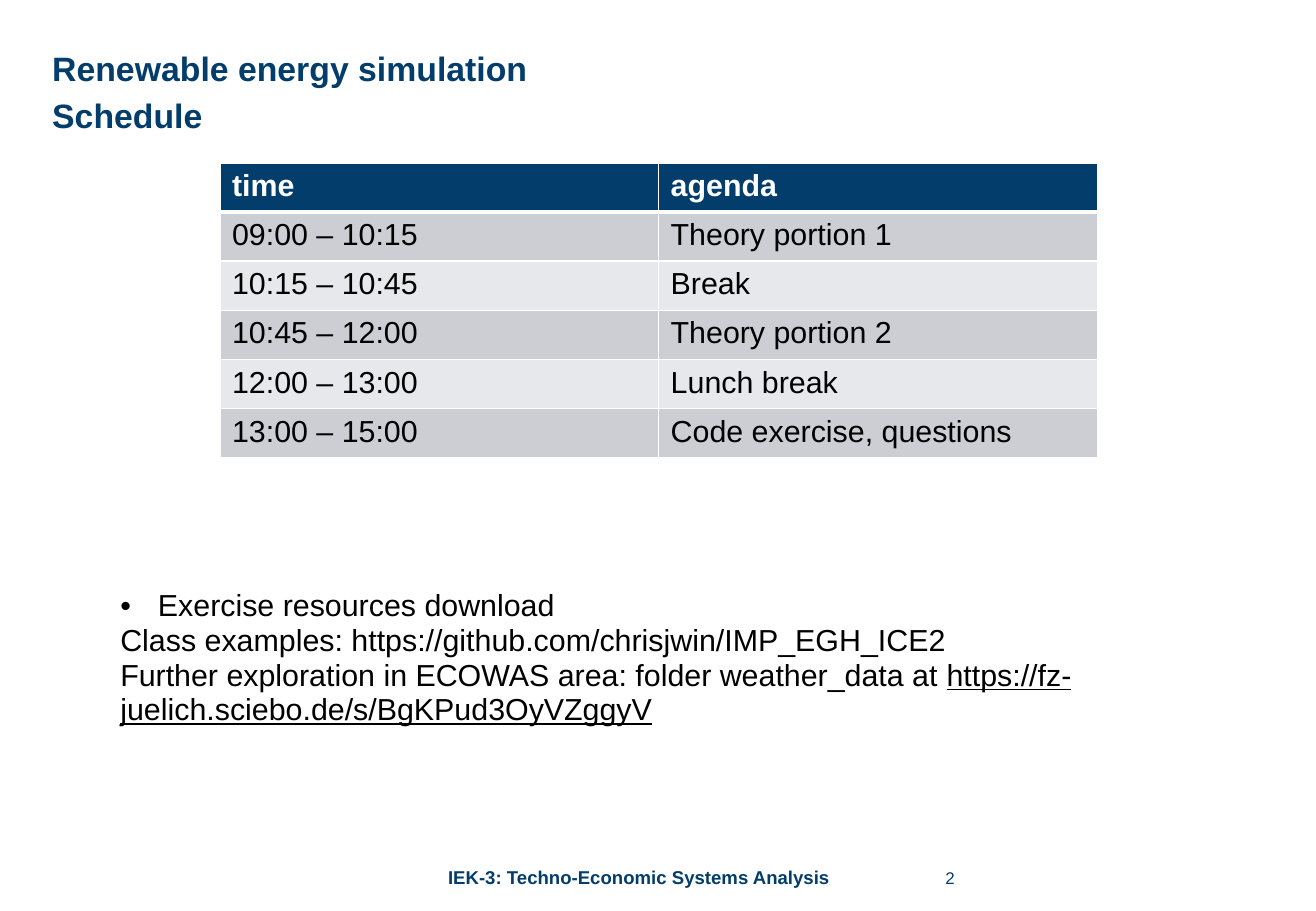
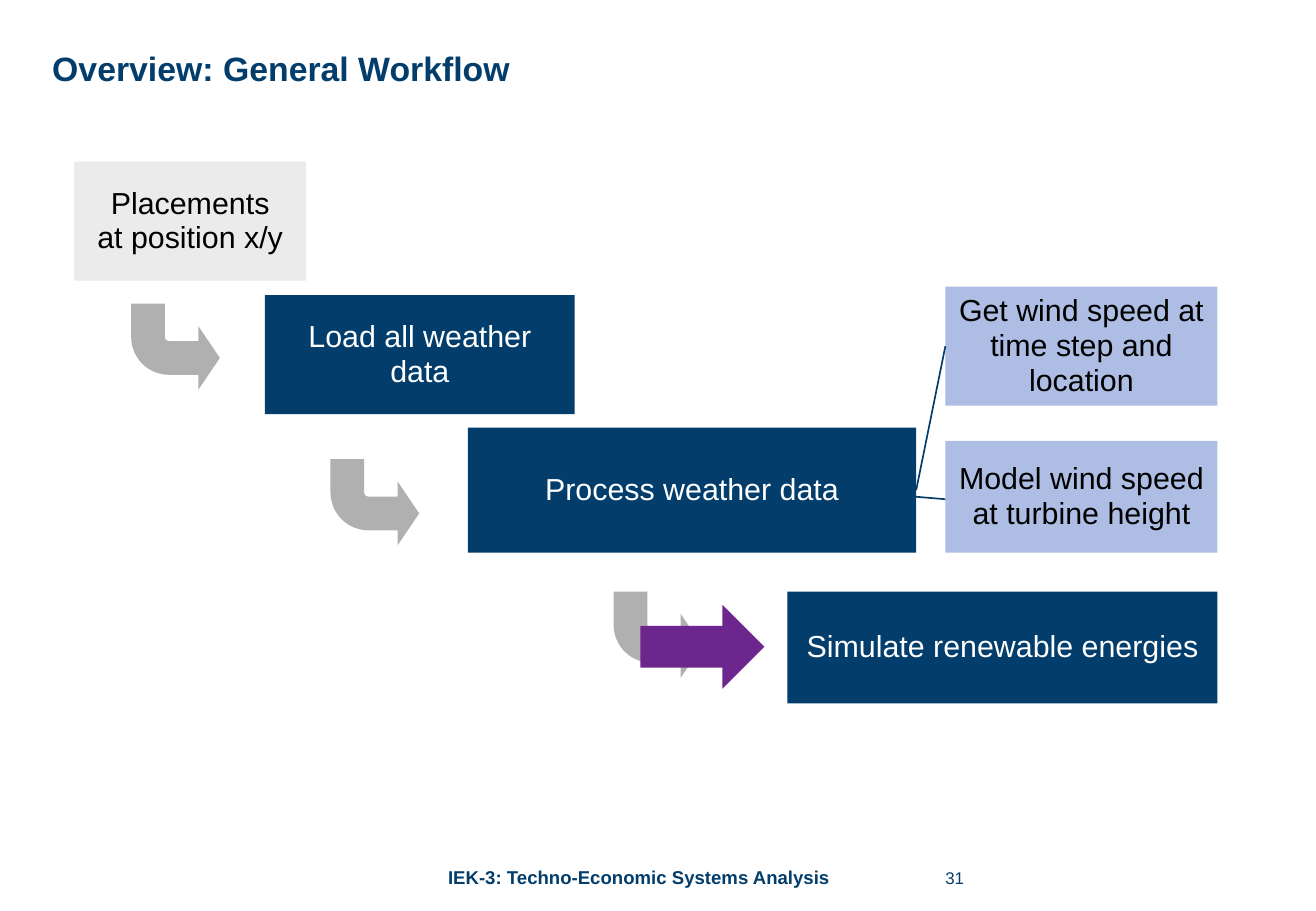
from lxml import etree
from pptx import Presentation
from pptx.dml.color import RGBColor
from pptx.enum import shapes, text
from pptx.oxml.ns import qn
from pptx.util import Inches, Pt

FONT = "Arial"
HEX = {"navy": "023D6B", "white": "FFFFFF", "black": "000000",
       "dark": "CCCED4", "light": "E7E8EB", "pale": "EBEBEB",
       "sky": "ADBDE3", "gray": "B0B0B0", "plum": "6D268E"}

FOOTER = "IEK-3: Techno-Economic Systems Analysis"
AGENDA = [
    ("time", "agenda"),
    ("09:00 – 10:15", "Theory portion 1"),
    ("10:15 – 10:45", "Break"),
    ("10:45 – 12:00", "Theory portion 2"),
    ("12:00 – 13:00", "Lunch break"),
    ("13:00 – 15:00", "Code exercise, questions"),
]
NOTES = [
    "Exercise resources download",
    "Class examples: https://github.com/chrisjwin/IMP_EGH_ICE2",
    "Further exploration in ECOWAS area: folder weather_data at ",
]
LINK = "https://fz-juelich.sciebo.de/s/BgKPud3OyVZggyV"

# name: (text, left, top, width, height, fill, text colour)
STEPS = {
    "place": ("Placements\nat position x/y", 0.61, 1.33, 1.91, 0.98, "pale", "black"),
    "load": ("Load all weather data", 2.18, 2.43, 2.55, 0.98, "navy", "white"),
    "process": ("Process weather data", 3.85, 3.52, 3.69, 1.03, "navy", "white"),
    "simulate": ("Simulate renewable energies", 6.48, 4.87, 3.54, 0.92, "navy", "white"),
    "speed": ("Get wind speed at time step and location",
              7.78, 2.36, 2.24, 0.98, "sky", "black"),
    "height": ("Model wind speed at turbine height",
               7.78, 3.63, 2.24, 0.92, "sky", "black"),
}
BENDS = [(1.08, 2.5), (2.72, 3.78), (5.05, 4.87)]


def color(name):
    return RGBColor.from_string(HEX[name])


def style(frame, size, ink, bold=False, align=None, spacing=None):
    for para in frame.paragraphs:
        para.alignment = align
        para.line_spacing = spacing
        for run in para.runs:
            font = run.font
            font.name, font.size, font.bold = FONT, Pt(size), bold
            font.color.rgb = color(ink)


def label(slide, words, box, size, **look):
    """Add a text box without insets."""
    frame = slide.shapes.add_textbox(*map(Inches, box)).text_frame
    frame.word_wrap = True
    frame.margin_left = frame.margin_right = 0
    frame.margin_top = frame.margin_bottom = 0
    frame.text = words
    style(frame, size, **look)
    return frame


def new_slide(deck, title, number):
    """Add a blank slide with the shared title, footer and page number."""
    slide = deck.slides.add_slide(deck.slide_layouts[6])
    label(slide, FOOTER, (3.21, 7.13, 4.1, 0.24), 11, ink="navy", bold=True,
          align=text.PP_ALIGN.CENTER)
    label(slide, title, (0.43, 0.35, 9.97, 0.48), 20, ink="navy", bold=True,
          spacing=1.14)
    label(slide, str(number), (7.78, 7.14, 0.47, 0.25), 10, ink="navy")
    return slide


def shape(slide, kind, box, fill):
    item = slide.shapes.add_shape(kind, *map(Inches, box))
    item.shadow.inherit = False
    item.fill.solid()
    item.fill.fore_color.rgb = color(fill)
    item.line.fill.background()
    return item


def step(slide, words, left, top, width, height, fill, ink):
    item = shape(slide, shapes.MSO_SHAPE.RECTANGLE, (left, top, width, height), fill)
    frame = item.text_frame
    frame.text = words
    frame.vertical_anchor = text.MSO_ANCHOR.MIDDLE
    style(frame, 18, ink, align=text.PP_ALIGN.CENTER, spacing=0.95)
    return item


def link(slide, start, end):
    line = slide.shapes.add_connector(shapes.MSO_CONNECTOR.STRAIGHT,
                                      *map(Inches, start + end))
    line.line.color.rgb = color("navy")
    line.line.width = Pt(1)
    etree.SubElement(line._element.spPr, qn("a:effectLst"))
    return line


def border(cell, row):
    """Draw white cell edges, with a thick one below the header."""
    props = cell._tc.get_or_add_tcPr()
    thick = {(0, "B"), (1, "T")}
    for side in "LRTB":
        width = Pt(3 if (row, side) in thick else 1)
        edge = etree.SubElement(props, qn("a:ln" + side), w=str(width))
        fill = etree.SubElement(edge, qn("a:solidFill"))
        etree.SubElement(fill, qn("a:srgbClr"), val=HEX["white"])


def add_agenda(slide):
    box = map(Inches, (1.81, 1.34, 7.22, 2.43))
    table = slide.shapes.add_table(len(AGENDA), 2, *box).table
    for r, row in enumerate(AGENDA):
        head = r == 0
        fill = "navy" if head else ("light", "dark")[r % 2]
        for c, words in enumerate(row):
            cell = table.cell(r, c)
            cell.text = words
            style(cell.text_frame, 18, "white" if head else "black", bold=head)
            border(cell, r)
            cell.fill.solid()
            cell.fill.fore_color.rgb = color(fill)


def add_notes(slide):
    frame = label(slide, "\n".join(NOTES), (0.99, 4.85, 9.41, 1.15), 18,
                  ink="black", spacing=0.95)
    first, last = frame.paragraphs[0], frame.paragraphs[-1]
    props = first._p.get_or_add_pPr()
    props.set("marL", str(Inches(0.31)))
    props.set("indent", str(-Inches(0.31)))
    etree.SubElement(props, qn("a:buFont"), typeface=FONT)
    etree.SubElement(props, qn("a:buChar"), char="•")
    last.add_run().text = LINK
    style(frame, 18, "black", spacing=0.95)
    last.runs[-1].font.underline = True


def add_flow(slide):
    boxes = {name: step(slide, *data) for name, data in STEPS.items()}
    for spot in BENDS:
        bend = shape(slide, shapes.MSO_SHAPE.BENT_ARROW, spot + (0.73, 0.71), "gray")
        for i, value in enumerate((0.391, 0.37, 0.25, 0.438)):
            bend.adjustments[i] = value
        bend._element.spPr.xfrm.set("flipV", "1")
    line = link(slide, (7.54, 4.03), (7.78, 2.85))
    line.begin_connect(boxes["process"], 3)
    line.end_connect(boxes["speed"], 1)
    link(slide, (7.54, 4.09), (7.78, 4.11))
    shape(slide, shapes.MSO_SHAPE.RIGHT_ARROW, (5.27, 4.98, 1.02, 0.69), "plum")


def main():
    deck = Presentation()
    deck.slide_width, deck.slide_height = Inches(10.83), Inches(7.5)
    plan = new_slide(deck, "Renewable energy simulation\vSchedule", 2)
    add_agenda(plan)
    add_notes(plan)
    add_flow(new_slide(deck, "Overview: General Workflow", 31))
    deck.save("out.pptx")


if __name__ == "__main__":
    main()
